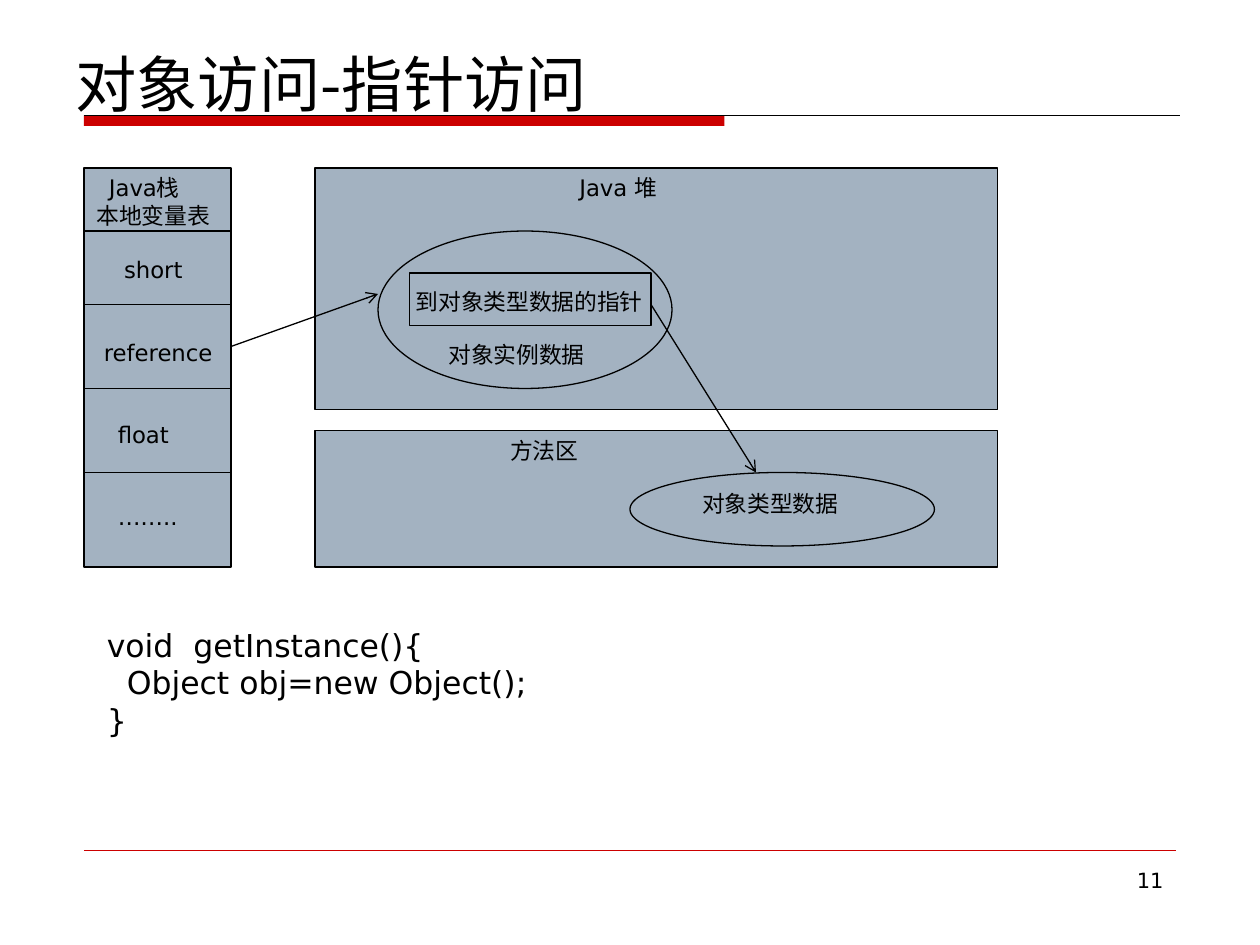
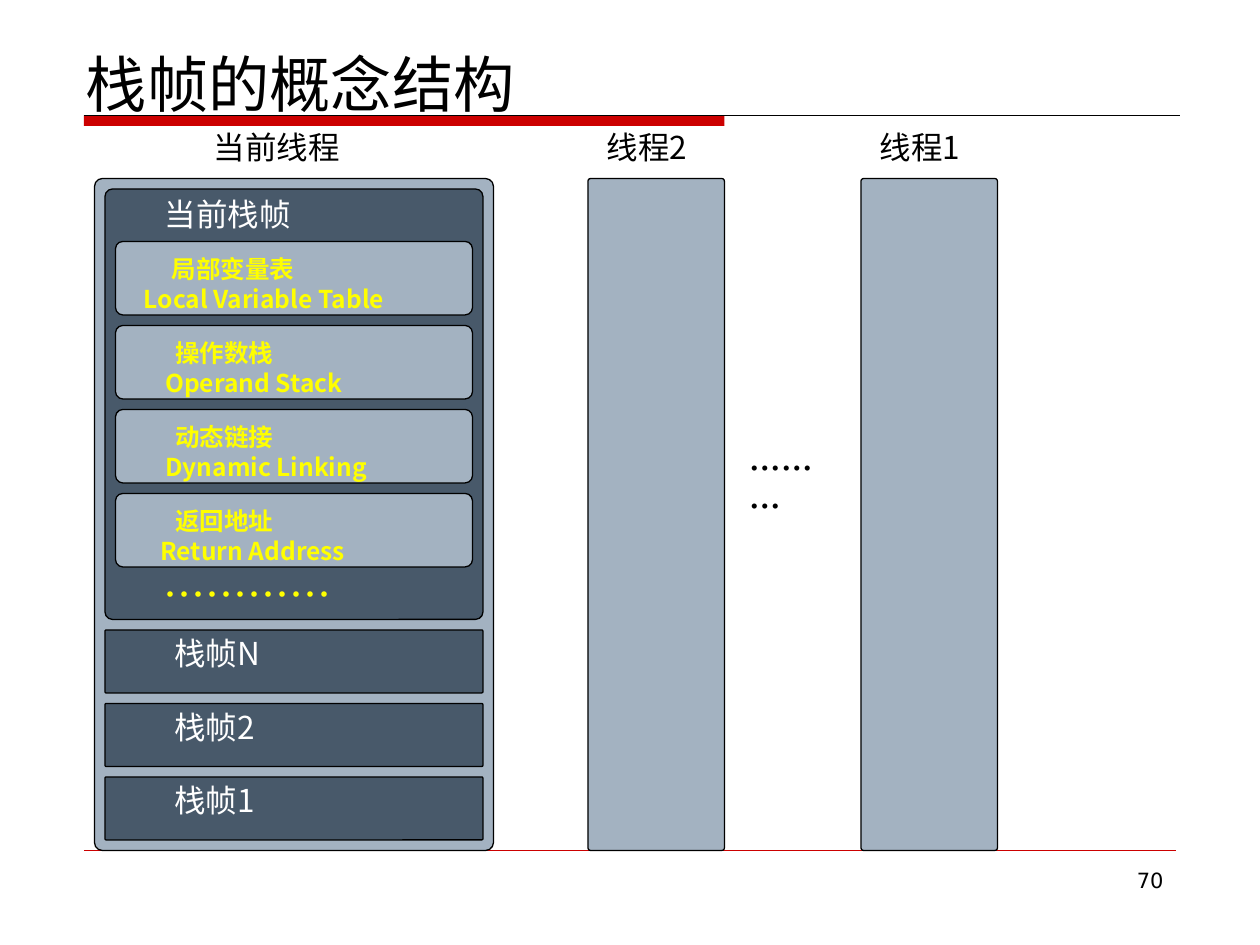
from lxml.etree import SubElement
from pptx import Presentation
from pptx.dml.color import RGBColor
from pptx.enum.shapes import MSO_CONNECTOR, MSO_SHAPE
from pptx.enum.text import MSO_ANCHOR, PP_ALIGN
from pptx.oxml.ns import qn
from pptx.util import Inches, Pt

CELL = Inches(10) // 120  # the slide is a grid of 120 columns and 90 rows
BLACK = RGBColor(0x00, 0x00, 0x00)
WHITE = RGBColor(0xFF, 0xFF, 0xFF)
RED = RGBColor(0xCC, 0x00, 0x00)
YELLOW = RGBColor(0xFF, 0xFF, 0x00)
PALE = RGBColor(0xA3, 0xB2, 0xC1)
SLATE = RGBColor(0x48, 0x59, 0x6A)
LATIN = "DejaVu Sans"
CHINESE = "Noto Sans CJK SC"


def grid(*cells):
    return [round(cell * CELL) for cell in cells]


def write(shape, lines, size, font=LATIN, color=BLACK, bold=False, inset=(0.1, 0.05),
          align=PP_ALIGN.LEFT, anchor=MSO_ANCHOR.TOP, spacing=None):
    """Fill a shape with lines: each a text, or (text, indent in inches, points before)."""
    frame = shape.text_frame
    frame.word_wrap = True
    frame.vertical_anchor = anchor
    frame.margin_left = frame.margin_right = Inches(inset[0])
    frame.margin_top = Inches(inset[1])
    frame.margin_bottom = 0 if anchor == MSO_ANCHOR.TOP else Inches(inset[1])
    for index, line in enumerate(lines):
        text, indent, before = (line, 0, 0) if isinstance(line, str) else line
        para = frame.paragraphs[0] if index == 0 else frame.add_paragraph()
        para.add_run().text = text
        para.alignment = align
        if indent:
            para._p.get_or_add_pPr().set("marL", str(Inches(indent)))
        if before:
            para.space_before = Pt(before)
        if spacing:
            para.line_spacing = Pt(spacing)
        para.font.name = font
        para.font.size = Pt(size)
        para.font.bold = bold
        para.font.color.rgb = color
        SubElement(para.font._rPr, qn("a:ea")).set("typeface", font)


def add_text(page, box, lines, size, **style):
    write(page.shapes.add_textbox(*grid(*box)), lines, size, **style)


def add_block(page, box, kind=MSO_SHAPE.RECTANGLE, fill=PALE, outlined=True, corner=None):
    block = page.shapes.add_shape(kind, *grid(*box))
    block.shadow.inherit = False
    block.fill.solid()
    block.fill.fore_color.rgb = fill
    if outlined:
        block.line.color.rgb = BLACK
        block.line.width = Pt(0.75)
    else:
        block.line.fill.background()
    if corner is not None:
        block.adjustments[0] = corner
    return block


def add_rounded(page, box, fill=PALE, corner=0.02):
    return add_block(page, box, MSO_SHAPE.ROUNDED_RECTANGLE, fill, corner=corner)


def add_line(page, start, end, color=BLACK, width=0.75, arrow=False):
    line = page.shapes.add_connector(MSO_CONNECTOR.STRAIGHT, *grid(*start, *end))
    line.line.color.rgb = color
    line.line.width = Pt(width)
    if arrow:
        SubElement(line.line._get_or_add_ln(), qn("a:tailEnd")).set("type", "arrow")
    SubElement(line._element.spPr, qn("a:effectLst"))


def add_page(deck, title, number, title_left):
    """Add a blank page with the shared title, title rule, footer rule and number."""
    page = deck.slides.add_slide(deck.slide_layouts[6])
    add_block(page, (8, 11, 61, 1), fill=RED, outlined=False)
    add_line(page, (8, 11), (112.4, 11))
    add_line(page, (8, 81), (112, 81), RED, 0.25)
    add_text(page, (title_left, 3, 105, 9), [title], 35, font=CHINESE,
             anchor=MSO_ANCHOR.BOTTOM)
    add_text(page, (86, 82, 26, 6), [number], 12, align=PP_ALIGN.RIGHT)
    return page


def draw_variable_stack(page, left, top, width, height):
    stack = add_block(page, (left, top, width, height))
    write(stack, [("Java栈", 0.1, 0), "本地变量表", ("short", 0.22, 15.6),
                  ("reference", 0.06, 31.3), ("float", 0.17, 31.3),
                  ("……..", 0.17, 31.3)], 13)
    for row in (6, 13, 21, 29):
        add_line(page, (left, top + row), (left + width, top + row))


def draw_memory(page, left, top, width):
    """Draw the method area and the heap, with the objects and arrows in them."""
    method_area = add_block(page, (left, top + 25, width, 13))
    write(method_area, [("方法区", 1.45, 0)], 13)
    heap = add_block(page, (left, top, width, 23))
    write(heap, [("Java 堆", 2, 0)], 13)
    add_line(page, (left - 8, top + 17), (left + 6, top + 12), arrow=True)
    instance = add_block(page, (left + 6, top + 6, 28, 15), MSO_SHAPE.OVAL)
    write(instance, [("对象实例数据", 0.12, 0)], 13, inset=(0.1, 0.69))
    add_line(page, (left + 32, top + 13), (left + 42, top + 29), arrow=True)
    type_data = add_block(page, (left + 30, top + 29, 29, 7), MSO_SHAPE.OVAL)
    write(type_data, [("对象类型数据", 0.12, 0)], 13)
    pointer = add_block(page, (left + 9, top + 10, 23, 5))
    write(pointer, [("到对象类型数据的指针", 0.05, 0)], 13, inset=(0, 0.12))


def draw_current_thread(page, left, top, width, height):
    add_rounded(page, (left, top, width, height))
    add_text(page, (left + 10.2, top - 5, 18, 5), ["当前线程"], 18, font=CHINESE,
             inset=(0.1, 0.02))
    draw_current_frame(page, left + 1, top + 1, width - 2, 41)
    for index, name in enumerate(("栈帧N", "栈帧2", "栈帧1")):
        frame = add_rounded(page, (left + 1, top + 43 + 7 * index, width - 2, 6), SLATE)
        write(frame, [(name, 0.45, 0)], 18, font=CHINESE, color=WHITE, inset=(0.1, 0.03))


def draw_current_frame(page, left, top, width, height):
    frame = add_rounded(page, (left, top, width, height), SLATE)
    write(frame, [("当前栈帧", 0.36, 0)], 18, font=CHINESE, color=WHITE, inset=(0.1, 0.03))
    slots = [
        ("局部变量表", 0.33, "Local Variable Table", 0.11),
        ("操作数栈", 0.36, "Operand Stack", 0.28),
        ("动态链接", 0.36, "Dynamic Linking", 0.28),
        ("返回地址", 0.36, "Return Address", 0.24),
    ]
    for index, (name, indent, english, english_indent) in enumerate(slots):
        slot = add_rounded(page, (left + 1, top + 5 + 8 * index, width - 2, 7), corner=0.1)
        write(slot, [(name, indent, 0), (english, english_indent, 0)], 14, font=CHINESE,
              color=YELLOW, bold=True, inset=(0.1, 0.08), spacing=17.1)
    add_text(page, (left + 4.4, top + 35.8, 24, 5), ["…………"], 24, font=CHINESE,
             color=YELLOW, inset=(0.1, 0.03))


def draw_other_thread(page, name, left, top, width, height):
    add_rounded(page, (left, top, width, height))
    add_text(page, (left + 0.6, top - 5, width, 5), [name], 18, font=CHINESE,
             inset=(0.1, 0.02))


def build_pointer_access(deck):
    page = add_page(deck, "对象访问-指针访问", "11", 6)
    draw_variable_stack(page, 8, 16, 14, 38)
    draw_memory(page, 30, 16, 65)
    add_text(page, (9, 59, 60, 12),
             ["void  getInstance(){", "  Object obj=new Object();", "}"], 18)


def build_stack_frames(deck):
    page = add_page(deck, "栈帧的概念结构", "70", 7)
    draw_current_thread(page, 9, 17, 38, 64)
    draw_other_thread(page, "线程2", 56, 17, 13, 64)
    draw_other_thread(page, "线程1", 82, 17, 13, 64)
    add_text(page, (70.2, 42, 10, 8), ["………"], 18, font=CHINESE, bold=True,
             inset=(0.1, 0.07), spacing=21.4)


def main():
    deck = Presentation()
    deck.slide_width, deck.slide_height = grid(120, 90)
    build_pointer_access(deck)
    build_stack_frames(deck)
    deck.save("out.pptx")


if __name__ == "__main__":
    main()
